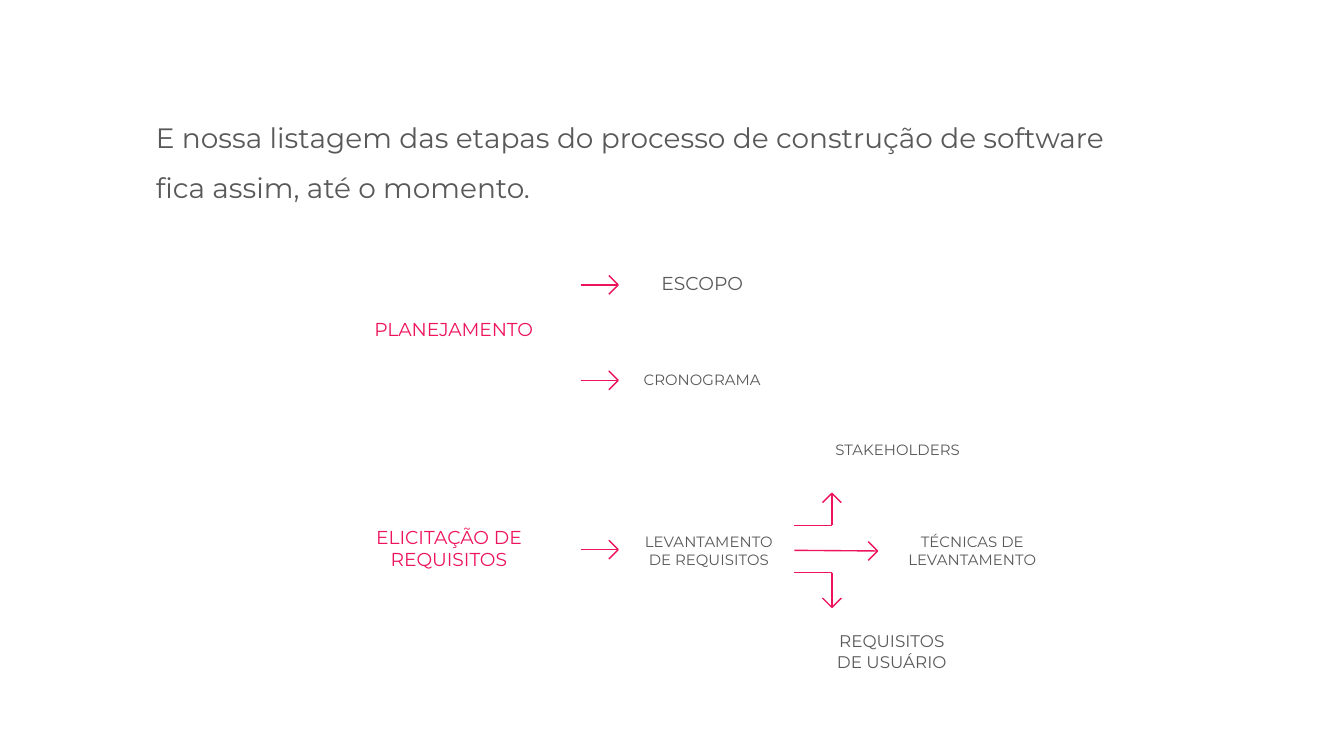
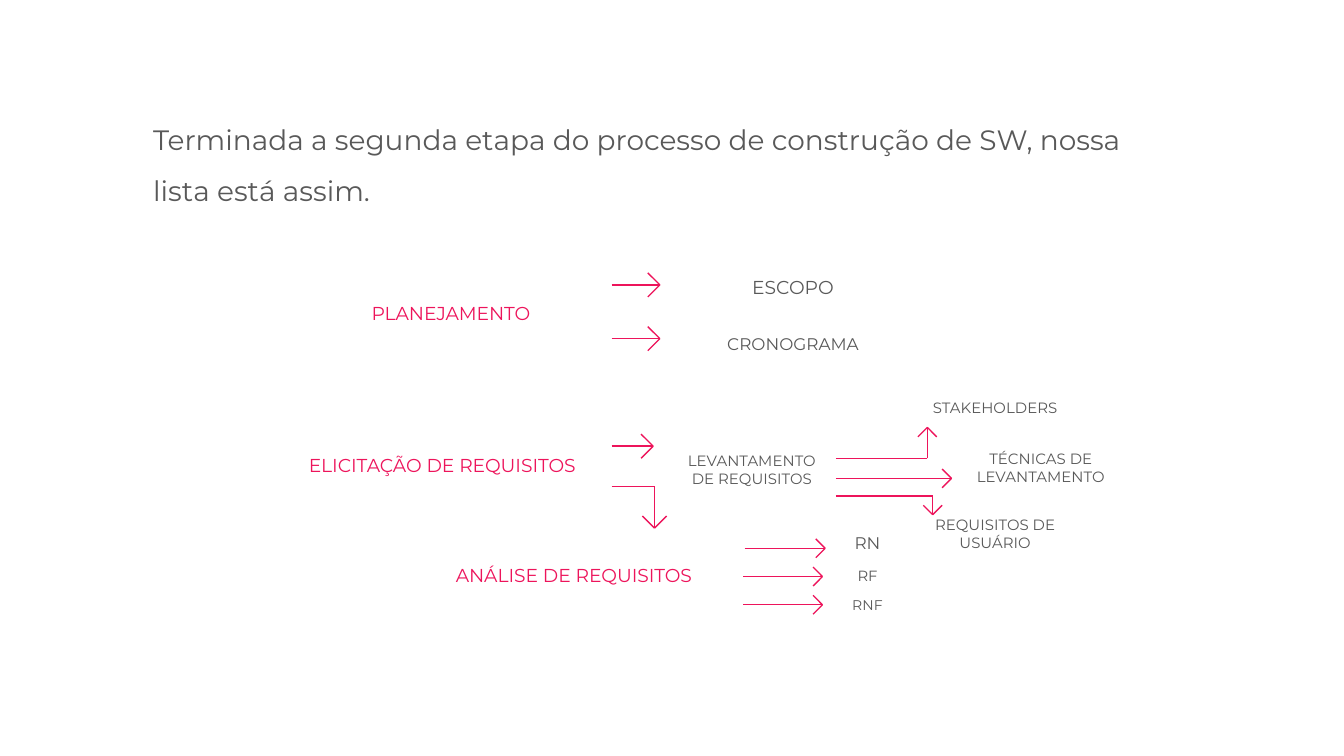
from itertools import pairwise

from lxml import etree
from pptx import Presentation
from pptx.dml.color import RGBColor
from pptx.enum.shapes import MSO_CONNECTOR, MSO_SHAPE
from pptx.enum.text import MSO_ANCHOR, MSO_AUTO_SIZE, PP_ALIGN
from pptx.oxml.ns import qn
from pptx.util import Inches, Pt

PINK = RGBColor(0xED, 0x14, 0x5B)
GRAY = RGBColor(0x59, 0x59, 0x59)
FONT = "Montserrat"
RIGHT_SIDE = 3


def format_text(tf, text, size, color, align):
    tf.text = text
    tf.word_wrap = True
    p = tf.paragraphs[0]
    p.alignment = align
    font = p.runs[0].font
    font.name, font.size, font.color.rgb = FONT, Pt(size), color
    return p


def add_titled_slide(prs, title, left, top, height):
    slide = prs.slides.add_slide(prs.slide_layouts[5])
    sp = slide.shapes.title
    sp.left, sp.top = Inches(left), Inches(top)
    sp.width, sp.height = Inches(7.52), Inches(height)
    tf = sp.text_frame
    p = format_text(tf, title, 15, GRAY, PP_ALIGN.LEFT)
    p.line_spacing = 1.5
    tf.vertical_anchor = MSO_ANCHOR.TOP
    tf.auto_size = MSO_AUTO_SIZE.NONE
    return slide


def add_stage(slide, text, left, top, width, height):
    """Pink name of a main stage of the process."""
    box = slide.shapes.add_textbox(Inches(left), Inches(top), Inches(width), Inches(height))
    format_text(box.text_frame, text, 10, PINK, PP_ALIGN.CENTER)
    box.text_frame.vertical_anchor = MSO_ANCHOR.MIDDLE


def add_item(slide, text, left, top, width, height, size=8):
    """Gray name of a result inside a stage."""
    sp = slide.shapes.add_shape(MSO_SHAPE.RECTANGLE, Inches(left), Inches(top),
                                Inches(width), Inches(height))
    sp.shadow.inherit = False
    sp.fill.background()
    sp.line.fill.background()
    format_text(sp.text_frame, text, size, GRAY, PP_ALIGN.CENTER)
    sp.text_frame.vertical_anchor = MSO_ANCHOR.MIDDLE
    return sp


def add_line(slide, start, end):
    line = slide.shapes.add_connector(MSO_CONNECTOR.STRAIGHT,
                                      *(Inches(v) for v in (*start, *end)))
    line.line.color.rgb = PINK
    line.line.width = Pt(0.75)
    etree.SubElement(line._element.spPr, qn("a:effectLst"))
    return line


def add_arrow(slide, *points, head=0.07):
    """Line through the points with an open head at the last one; returns its first part."""
    parts = [add_line(slide, a, b) for a, b in pairwise(points)]
    (x0, y0), (x, y) = points[-2:]
    for side in (-head, head):
        if x0 == x:
            back = (x + side, y - head if y > y0 else y + head)
        else:
            back = (x - head, y + side)
        add_line(slide, back, (x, y))
    return parts[0]


def build_first_list(prs):
    slide = add_titled_slide(
        prs, "E nossa listagem das etapas do processo de construção de software "
        "fica assim, até o momento.", 1.06, 0.72, 1.18)

    add_stage(slide, "PLANEJAMENTO", 2.15, 2.15, 2.45, 0.6)
    add_stage(slide, "ELICITAÇÃO DE REQUISITOS", 2.3, 3.78, 2.08, 0.6)
    for y in (2.12, 2.83, 4.09):
        add_arrow(slide, (4.32, y), (4.6, y))

    add_item(slide, "ESCOPO", 4.64, 1.83, 1.17, 0.55, 10)
    add_item(slide, "CRONOGRAMA", 4.64, 2.55, 1.17, 0.55)
    survey = add_item(slide, "LEVANTAMENTO DE REQUISITOS", 4.64, 3.78, 1.27, 0.63)
    add_item(slide, "STAKEHOLDERS", 6.05, 3.07, 1.26, 0.55)
    add_item(slide, "TÉCNICAS DE LEVANTAMENTO", 6.62, 3.82, 1.23, 0.55)
    add_item(slide, "REQUISITOS DE USUÁRIO", 6.05, 4.57, 1.17, 0.55, 9)

    add_arrow(slide, (5.91, 3.91), (6.19, 3.91), (6.19, 3.67))
    to_techniques = add_arrow(slide, (5.91, 4.1), (6.53, 4.1))
    to_techniques.begin_connect(survey, RIGHT_SIDE)
    add_arrow(slide, (5.91, 4.26), (6.19, 4.26), (6.19, 4.52))


def build_second_list(prs):
    slide = add_titled_slide(
        prs, "Terminada a segunda etapa do processo de construção de SW, "
        "nossa lista está assim.", 1.04, 0.74, 0.8)

    add_stage(slide, "PLANEJAMENTO", 2.17, 2.17, 2.37, 0.32)
    add_stage(slide, "ELICITAÇÃO DE REQUISITOS", 1.64, 3.3, 3.3, 0.32)
    add_stage(slide, "ANÁLISE DE REQUISITOS", 2.62, 4.12, 3.3, 0.32)
    for x, y in ((4.91, 2.12), (4.91, 2.52), (4.86, 3.32)):
        add_arrow(slide, (4.55, y), (x, y), head=0.09)
    add_arrow(slide, (4.55, 3.62), (4.87, 3.62), (4.87, 3.93), head=0.09)

    add_item(slide, "ESCOPO", 4.97, 1.99, 1.86, 0.29, 10)
    add_item(slide, "CRONOGRAMA", 4.97, 2.41, 1.86, 0.29, 9)
    add_item(slide, "LEVANTAMENTO DE REQUISITOS", 4.97, 3.18, 1.25, 0.63)
    add_item(slide, "STAKEHOLDERS", 6.79, 2.91, 1.23, 0.24)
    add_item(slide, "TÉCNICAS DE LEVANTAMENTO", 7.13, 3.36, 1.23, 0.24)
    add_item(slide, "REQUISITOS DE USUÁRIO", 6.79, 3.84, 1.23, 0.26)

    add_arrow(slide, (6.22, 3.41), (6.9, 3.41), (6.9, 3.18))
    add_arrow(slide, (6.22, 3.56), (7.08, 3.56))
    add_arrow(slide, (6.22, 3.69), (6.94, 3.69), (6.94, 3.83))

    for text, size, top, y, start, tip in (("RN", 9, 3.95, 4.08, 5.54, 6.14),
                                           ("RF", 7.9, 4.19, 4.29, 5.53, 6.12),
                                           ("RNF", 7.5, 4.41, 4.5, 5.53, 6.12)):
        add_arrow(slide, (start, y), (tip, y))
        add_item(slide, text, 6.22, top, 0.47, 0.18, size)


def main():
    prs = Presentation()
    prs.slide_width = Inches(10)
    prs.slide_height = prs.slide_width * 9 // 16
    build_first_list(prs)
    build_second_list(prs)
    prs.save("out.pptx")


if __name__ == "__main__":
    main()
